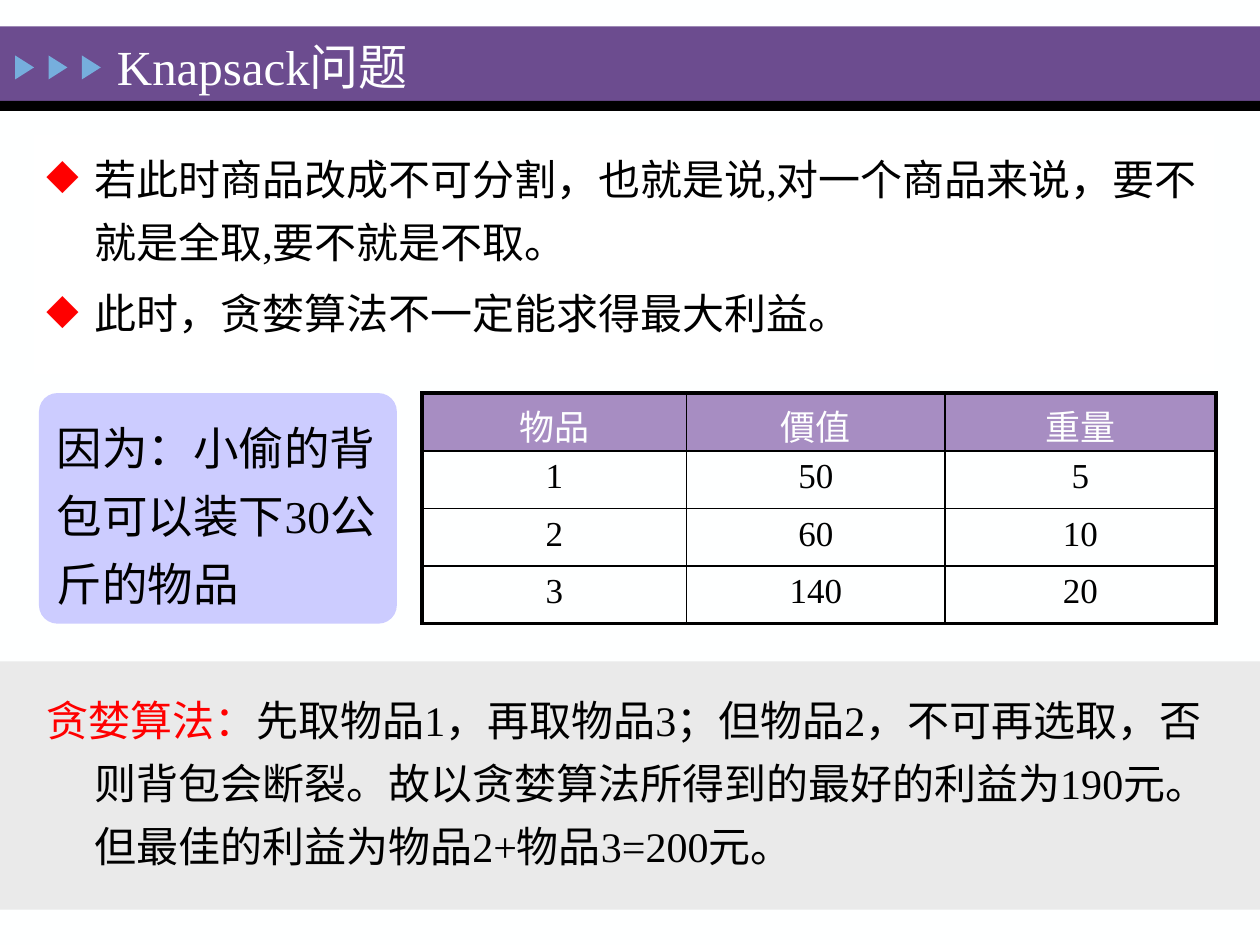
from lxml import etree
from pptx import Presentation
from pptx.dml.color import RGBColor
from pptx.enum import shapes, text
from pptx.oxml import ns
from pptx.util import Inches, Pt

FONT = "Times New Roman"
PAPER = RGBColor(0xFE, 0xFF, 0xFF)
WHITE = RGBColor(0xFF, 0xFF, 0xFF)
BLACK = RGBColor(0, 0, 0)
RED = RGBColor(0xFF, 0, 0)
PURPLE = RGBColor(0x6C, 0x4C, 0x8F)
LILAC = RGBColor(0xA7, 0x8D, 0xC2)
LAVENDER = RGBColor(0xCC, 0xCC, 0xFF)
SKY = RGBColor(0x76, 0xAE, 0xDD)
GREY = RGBColor(0xEA, 0xEA, 0xEA)

SHAPE = shapes.MSO_SHAPE
MIDDLE = text.MSO_ANCHOR.MIDDLE
LEFT, CENTER = text.PP_ALIGN.LEFT, text.PP_ALIGN.CENTER
HANGING = 0.38

BULLETS = [
    "若此时商品改成不可分割，也就是说,对一个商品来说，要不就是全取,要不就是不取。",
    "此时，贪婪算法不一定能求得最大利益。",
]
GREEDY = [
    ("贪婪算法：", RED),
    ("先取物品1，再取物品3；但物品2，不可再选取，否则背包会断裂。"
     "故以贪婪算法所得到的最好的利益为190元。但最佳的利益为物品2+物品3=200元。", BLACK),
]
ITEMS = [("物品", "價值", "重量"), ("1", "50", "5"), ("2", "60", "10"), ("3", "140", "20")]


def add_block(page, kind, place, color):
    block = page.shapes.add_shape(kind, *map(Inches, place))
    block.shadow.inherit = False
    block.fill.solid()
    block.fill.fore_color.rgb = color
    block.line.fill.background()
    return block


def add_text_box(page, place):
    return page.shapes.add_textbox(*map(Inches, place))


def set_frame(box, anchor=text.MSO_ANCHOR.TOP):
    frame = box.text_frame
    frame.word_wrap = True
    frame.vertical_anchor = anchor
    return frame


def write(para, spans, size, **formats):
    """Fill a paragraph with (wording, colour) spans."""
    for name, value in {"alignment": LEFT, **formats}.items():
        setattr(para, name, value)
    for wording, color in spans:
        span = para.add_run()
        span.text = wording
        span.font.name = FONT
        span.font.size = Pt(size)
        span.font.color.rgb = color


def set_hanging(para):
    props = para._p.get_or_add_pPr()
    props.set("marL", str(Inches(HANGING)))
    props.set("indent", str(-Inches(HANGING)))
    return props


def add_bullet(para):
    props = set_hanging(para)
    tint = etree.SubElement(props, ns.qn("a:buClr"))
    etree.SubElement(tint, ns.qn("a:srgbClr"), val=str(RED))
    etree.SubElement(props, ns.qn("a:buChar"), char="◆")


def set_borders(cell, widths):
    props = cell._tc.get_or_add_tcPr()
    for side, width in widths.items():
        line = etree.SubElement(props, ns.qn(f"a:ln{side}"), w=str(Pt(width)))
        fill = etree.SubElement(line, ns.qn("a:solidFill"))
        etree.SubElement(fill, ns.qn("a:srgbClr"), val=str(BLACK))


def add_header(page):
    add_block(page, SHAPE.RECTANGLE, (0, 0.21, 10, 0.59), PURPLE)
    add_block(page, SHAPE.RECTANGLE, (0, 0.8, 10, 0.08), BLACK)
    for index in range(3):
        left = 0.1 + 0.265 * index
        arrow = add_block(page, SHAPE.ISOSCELES_TRIANGLE, (left, 0.46, 0.19, 0.15), SKY)
        arrow.rotation = 90
    title = set_frame(add_text_box(page, (0.83, 0.24, 3.7, 0.56)), MIDDLE)
    write(title.paragraphs[0], [("Knapsack问题", PAPER)], 28)


def add_bullets(page):
    box = add_block(page, SHAPE.RECTANGLE, (0.27, 1.07, 9.37, 1.9), WHITE)
    frame = set_frame(box)
    for index, wording in enumerate(BULLETS):
        para = frame.add_paragraph() if index else frame.paragraphs[0]
        write(para, [(wording, BLACK)], 24, line_spacing=1.25, space_before=Pt(4.8))
        add_bullet(para)


def add_reason(page):
    box = add_block(page, SHAPE.ROUNDED_RECTANGLE, (0.31, 3.12, 2.84, 1.83), LAVENDER)
    box.adjustments[0] = 0.08
    para = set_frame(box, MIDDLE).paragraphs[0]
    write(para, [("因为：小偷的背包可以装下30公斤的物品", BLACK)], 26, line_spacing=1.25)


def add_items_table(page):
    place = map(Inches, (3.35, 3.12, 6.3, 1.83))
    table = page.shapes.add_table(len(ITEMS), len(ITEMS[0]), *place).table
    table.horz_banding = False
    for column, width in zip(table.columns, (2.1, 2.05, 2.15)):
        column.width = Inches(width)
    last_row, last_column = len(ITEMS) - 1, len(ITEMS[0]) - 1
    for r, row in enumerate(ITEMS):
        for c, wording in enumerate(row):
            cell = table.cell(r, c)
            outer = {"L": c == 0, "R": c == last_column, "T": r == 0, "B": r == last_row}
            set_borders(cell, {side: 2.25 if edge else 1 for side, edge in outer.items()})
            if r == 0:
                cell.fill.solid()
                cell.fill.fore_color.rgb = LILAC
            else:
                cell.fill.background()
            color = BLACK if r else PAPER
            para = cell.text_frame.paragraphs[0]
            write(para, [(wording, color)], 20, alignment=CENTER, space_before=Pt(4))
            para.font.bold = False


def add_conclusion(page):
    add_block(page, SHAPE.RECTANGLE, (0, 5.25, 10, 1.97), GREY)
    para = set_frame(add_text_box(page, (0.27, 5.36, 9.37, 1.62))).paragraphs[0]
    write(para, GREEDY, 24, line_spacing=1.25)
    set_hanging(para)


def main():
    deck = Presentation()
    deck.slide_width, deck.slide_height = Inches(10), Inches(7.5)
    page = deck.slides.add_slide(deck.slide_layouts[6])
    page.background.fill.solid()
    page.background.fill.fore_color.rgb = PAPER
    add_header(page)
    add_conclusion(page)
    add_items_table(page)
    add_reason(page)
    add_bullets(page)
    deck.save("out.pptx")


if __name__ == "__main__":
    main()
